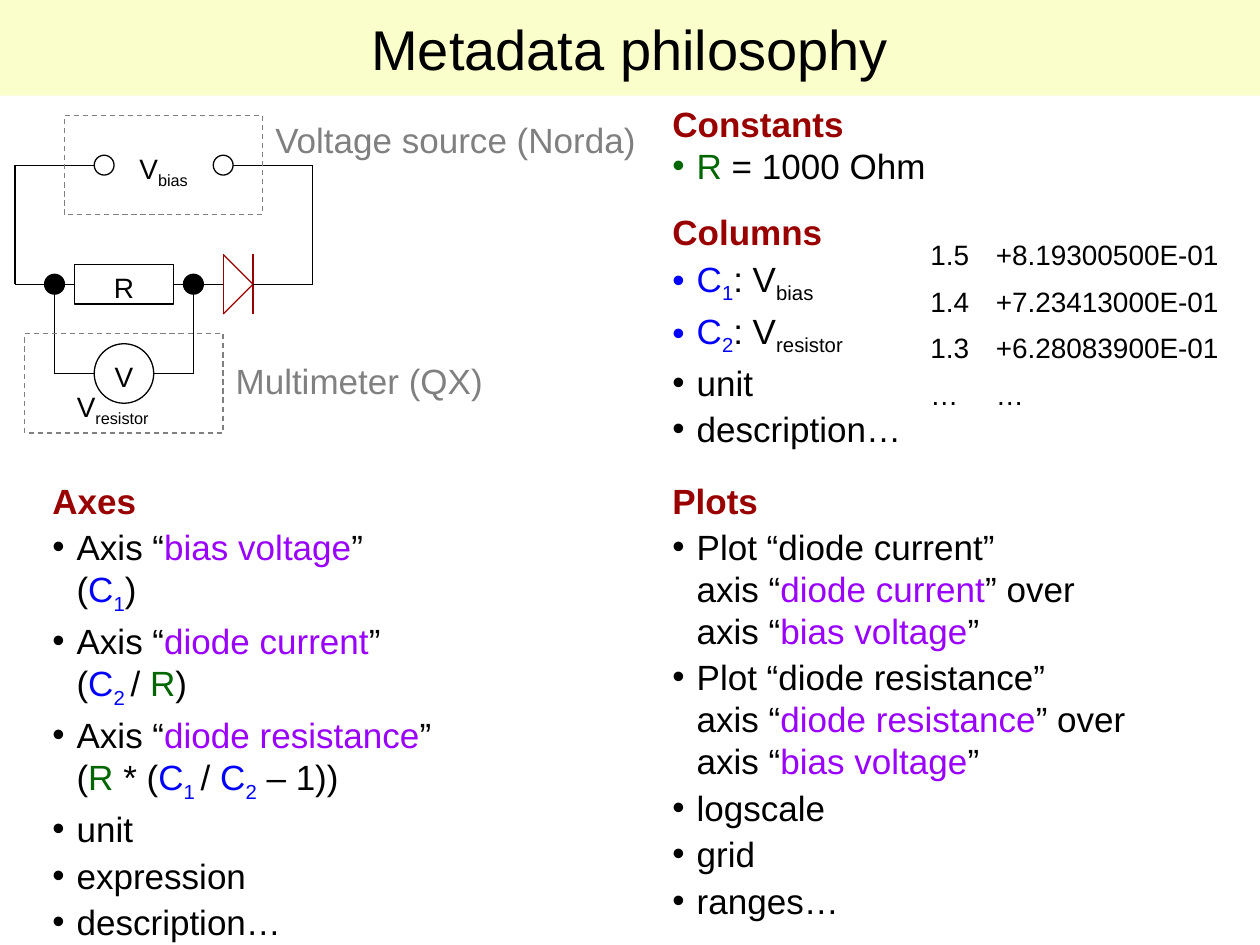
from dataclasses import dataclass
from itertools import pairwise

from lxml import etree
from pptx import Presentation
from pptx import util as u
from pptx.dml.color import RGBColor
from pptx.enum import shapes, text
from pptx.oxml import ns


@dataclass(frozen=True)
class Theme:
    font: str = "Arial"
    title_size: float = 32
    body_size: float = 20
    label_size: float = 16
    line_width: float = 0.75
    ink: str = "000000"
    banner: str = "F9FECA"
    heading: str = "990000"
    device: str = "808080"
    constant: str = "006600"
    column: str = "0000FF"
    axis: str = "9900FF"


THEME = Theme()


@dataclass(frozen=True)
class Piece:
    """A stretch of text in one format."""
    text: str
    color: str = THEME.ink
    subscript: bool = False
    bold: bool = False


def column(number, gap=""):
    return [Piece("C", THEME.column), Piece(f"{number}{gap}", THEME.column, subscript=True)]


def voltage(name, prefix=""):
    return [Piece(f"{prefix}V"), Piece(name, subscript=True)]


def axis(name):
    return Piece(name, THEME.axis)


def plot(name):
    return [Piece(f"Plot “{name}”\naxis “"), axis(name), Piece("” over\naxis “"),
            axis("bias voltage"), Piece("”")]


RESISTOR = Piece("R", THEME.constant)


# Text
def format_run(run, size, piece):
    font = run.font
    font.name, font.size, font.bold = THEME.font, u.Pt(size), piece.bold
    font.color.rgb = RGBColor.from_string(piece.color)
    if piece.subscript:
        run._r.get_or_add_rPr().set("baseline", "-25000")


def write(paragraph, pieces, size):
    for piece in pieces:
        for index, line in enumerate(piece.text.split("\n")):
            if index:
                paragraph.add_line_break()
                line_break = paragraph._p.findall(ns.qn("a:br"))[-1]
                etree.SubElement(line_break, ns.qn("a:rPr"), sz=str(size * 100))
            run = paragraph.add_run()
            run.text = line
            format_run(run, size, piece)


def set_bullet(paragraph, color=None):
    """Hang the paragraph, with a bullet if a colour is given."""
    properties = paragraph._p.get_or_add_pPr()
    indent = u.Cm(0.49)
    properties.set("marL", str(indent))
    properties.set("indent", str(-indent))
    if color is None:
        etree.SubElement(properties, ns.qn("a:buNone"))
        return
    bullet_color = etree.SubElement(properties, ns.qn("a:buClr"))
    etree.SubElement(bullet_color, ns.qn("a:srgbClr"), val=color)
    etree.SubElement(properties, ns.qn("a:buFont"), typeface=THEME.font)
    etree.SubElement(properties, ns.qn("a:buChar"), char="•")


def place(shape, left, top, width, height):
    shape.left, shape.top = u.Cm(left), u.Cm(top)
    shape.width, shape.height = u.Cm(width), u.Cm(height)


def fill_title(title, wording):
    place(title, 0, 0, 25.4, 1.93)
    title.fill.solid()
    title.fill.fore_color.rgb = RGBColor.from_string(THEME.banner)
    frame = title.text_frame
    frame.text = wording
    frame.auto_size = text.MSO_AUTO_SIZE.NONE
    frame.vertical_anchor = text.MSO_ANCHOR.MIDDLE
    frame.paragraphs[0].alignment = text.PP_ALIGN.CENTER
    format_run(frame.paragraphs[0].runs[0], THEME.title_size, Piece(wording))


def fill_list(placeholder, box, heading, items, space=2.5):
    place(placeholder, *box)
    frame = placeholder.text_frame
    frame.auto_size = text.MSO_AUTO_SIZE.NONE
    frame.vertical_anchor = text.MSO_ANCHOR.TOP
    rows = [[Piece(heading, THEME.heading, bold=True)], *items]
    for index, pieces in enumerate(rows):
        paragraph = frame.add_paragraph() if index else frame.paragraphs[0]
        paragraph.space_before = u.Pt(space)
        set_bullet(paragraph, pieces[0].color if index else None)
        write(paragraph, pieces, THEME.body_size)


def add_label(slide, box, pieces, size=THEME.label_size, align=text.PP_ALIGN.CENTER):
    frame = slide.shapes.add_textbox(*map(u.Cm, box)).text_frame
    frame.word_wrap = True
    frame.paragraphs[0].alignment = align
    write(frame.paragraphs[0], pieces, size)


# Drawing
def add_outline(slide, kind, box, color=THEME.ink, filled=False, dashed=False):
    shape = slide.shapes.add_shape(kind, *map(u.Cm, box))
    shape.shadow.inherit = False
    shape.line.color.rgb = RGBColor.from_string(color)
    shape.line.width = u.Pt(THEME.line_width)
    if filled:
        shape.fill.solid()
        shape.fill.fore_color.rgb = RGBColor.from_string(color)
    else:
        shape.fill.background()
    if dashed:
        shape.line.dash_style = 4  # MSO_LINE.DASH


def add_wire(parent, points, color=THEME.ink):
    """Join the points with straight lines."""
    for start, end in pairwise(points):
        line = parent.shapes.add_connector(shapes.MSO_CONNECTOR.STRAIGHT, *map(u.Cm, start + end))
        line.line.color.rgb = RGBColor.from_string(color)
        line.line.width = u.Pt(THEME.line_width)
        etree.SubElement(line._element.spPr, ns.qn("a:effectLst"))


def draw_circuit(slide):
    rectangle, oval = shapes.MSO_SHAPE.RECTANGLE, shapes.MSO_SHAPE.OVAL
    source_y, main_y, meter_y = 3.33, 5.73, 7.53
    left, right = 0.3, 6.3
    nodes, terminals = (1.4, 3.9), (2.1, 4.5)
    node_left, node_right = 1.1, 3.9

    # Diode
    diode = slide.shapes.add_group_shape()
    tip, back, half = 5.1, 4.5, 0.6
    add_wire(diode, [(tip, main_y), (back, main_y - half), (back, main_y + half), (tip, main_y)],
             THEME.heading)
    add_wire(diode, [(tip, main_y - half), (tip, main_y + half)], THEME.heading)

    # Wires
    add_wire(slide, [(tip, main_y), (right, main_y), (right, source_y), (4.7, source_y)])
    add_wire(slide, [(1.5, main_y), (left, main_y), (left, source_y), (1.9, source_y)])
    add_wire(slide, [(back, main_y), (3.5, main_y)])
    add_wire(slide, [(node_left, main_y), (node_left, meter_y), (1.9, meter_y)])
    add_wire(slide, [(3.1, meter_y), (node_right, meter_y), (node_right, main_y)])

    # Components
    add_outline(slide, rectangle, (1.5, main_y - 0.4, 2, 0.8))
    add_outline(slide, oval, (1.9, meter_y - 0.6, 1.2, 1.2))
    for x in terminals:
        add_outline(slide, oval, (x - 0.2, source_y - 0.2, 0.4, 0.4))
    for x in (node_left, node_right):
        add_outline(slide, oval, (x - 0.2, main_y - 0.2, 0.4, 0.4), filled=True)
    add_label(slide, (1.3, 7.73, 2.4, 1.04), voltage("resistor"), align=text.PP_ALIGN.LEFT)
    add_label(slide, (1.9, 7.13, 1.2, 0.94), [Piece("V")])
    add_label(slide, (1.7, 5.33, 1.6, 0.94), [Piece("R")])
    add_label(slide, (2.3, 2.93, 2, 1.04), voltage("bias"))

    # Devices
    for box, label, name in (((1.3, 2.33), (5.3, 2.27), "Voltage source (Norda)"),
                             ((0.5, 6.73), (4.5, 7.13), "Multimeter (QX)")):
        add_outline(slide, rectangle, (*box, 4, 2), THEME.device, dashed=True)
        add_label(slide, (*label, 8, 1.12), [Piece(name, THEME.device)], THEME.body_size,
                  text.PP_ALIGN.LEFT)


def add_readings(slide, rows):
    table = slide.shapes.add_table(len(rows), 2, *map(u.Cm, (18.5, 4.72, 6.4, 3.76))).table
    table.first_row = table.horz_banding = False
    for table_column, width in zip(table.columns, (1.32, 5.08)):
        table_column.width = u.Cm(width)
    for row, values in zip(table.rows, rows):
        for cell, value in zip(row.cells, values):
            cell.fill.background()
            cell.text = value
            format_run(cell.text_frame.paragraphs[0].runs[0], THEME.label_size, Piece(value))


def main():
    presentation = Presentation()
    presentation.slide_width, presentation.slide_height = u.Cm(25.4), u.Cm(19.05)
    slide = presentation.slides.add_slide(presentation.slide_layouts.get_by_name("Comparison"))
    title, constants, columns, axes, plots = list(slide.placeholders)[:5]

    # Title and lists
    fill_title(title, "Metadata philosophy")
    unit, description = [Piece("unit")], [Piece("description…")]
    fill_list(constants, (13.3, 1.93, 7.06, 1.96), "Constants",
              [[RESISTOR, Piece(" = 1000 Ohm")]], space=0)
    fill_list(columns, (13.3, 4.12, 6.6, 5.08), "Columns",
              [column(1) + voltage("bias", ": "), column(2) + voltage("resistor", ": "),
               unit, description])
    formulas = {
        "bias voltage": [*column(1), Piece(")")],
        "diode current": [*column(2, " "), Piece("/ "), RESISTOR, Piece(")")],
        "diode resistance": [RESISTOR, Piece(" * ("), *column(1, " "), Piece("/ "), *column(2),
                             Piece(" – 1))")],
    }
    axis_items = [[Piece("Axis “"), axis(name), Piece("”\n("), *formula]
                  for name, formula in formulas.items()]
    fill_list(axes, (0.8, 9.53, 11.9, 9.6), "Axes",
              [*axis_items, unit, [Piece("expression")], description])
    fill_list(plots, (13.3, 9.53, 12.1, 9.17), "Plots",
              [plot("diode current"), plot("diode resistance"),
               *([Piece(word)] for word in ("logscale", "grid", "ranges…"))])

    # Circuit and its readings
    draw_circuit(slide)
    add_readings(slide, [("1.5", "+8.19300500E-01"), ("1.4", "+7.23413000E-01"),
                         ("1.3", "+6.28083900E-01"), ("…", "…")])
    presentation.save("out.pptx")


if __name__ == "__main__":
    main()
